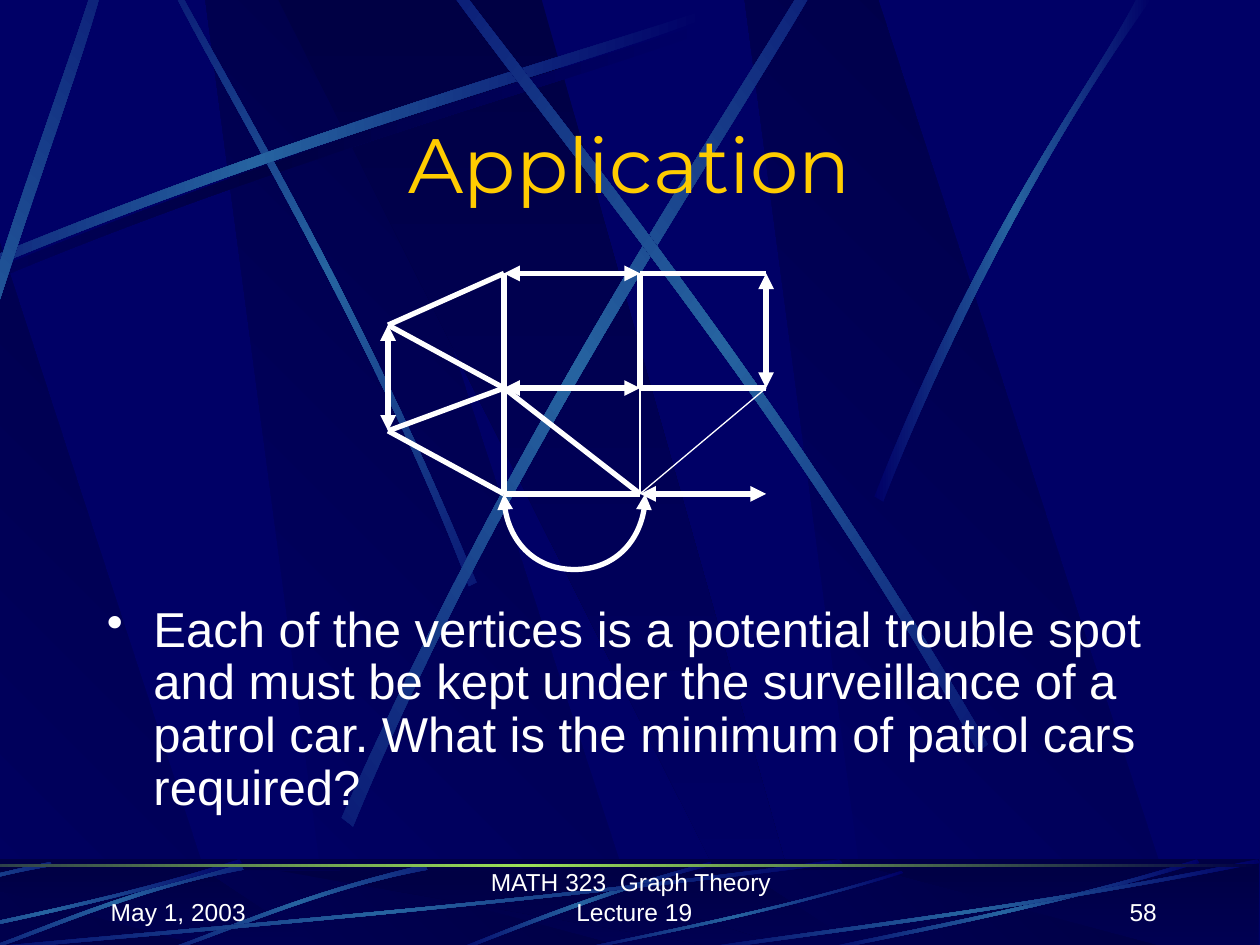
from math import cos, radians, sin

from lxml.etree import SubElement
from pptx import Presentation
from pptx.dml.color import RGBColor
from pptx.enum.shapes import MSO_CONNECTOR as CONNECTOR, MSO_SHAPE as SHAPE
from pptx.enum.text import MSO_ANCHOR as ANCHOR, PP_ALIGN as ALIGN
from pptx.oxml.ns import qn
from pptx.util import Emu, Pt

PX = 9144
COLORS = {
    "navy": "000066",
    "midnight": "000044",
    "beam": "2663A0",
    "lime": "9CE157",
    "gold": "FFCC00",
    "white": "FFFFFF",
}
VERTICES = {
    "A": (400, 217), "B": (508, 217), "C": (608, 217),
    "D": (308, 258), "E": (400, 308), "F": (508, 308), "G": (608, 308),
    "H": (308, 342), "I": (400, 392), "J": (508, 392), "K": (608, 392),
}
PATROLS = ["AB", "CG", "FE", "DH", "JK"]
STREETS = ["BC", "GF", "FB", "EA", "AD", "DE", "EH", "EI", "IJ", "HI", "JE"]
LANES = ["FJ", "JG"]
LONG_BEAM = [(-152, 267), (156, 125), (436, 50), (556, 9),
             (559, 15), (442, 60), (121, 142), (-149, 277)]
UPPER_BEAMS = [
    (45, (254, 222), [(378, 462), (286, 238), (177, 59), (135, -21),
                      (131, -20), (170, 61), (296, 264), (372, 465)]),
    (0, (0, 0), LONG_BEAM),
    (312, (-12, 316), [(-110, 639), (-56, 332), (41, 95), (74, -13),
                       (81, -11), (52, 99), (-61, 368), (-100, 645)]),
    (321, (466, 311), [(271, 649), (415, 325), (585, 79), (651, -34),
                       (658, -31), (596, 84), (400, 363), (280, 656)]),
    (35, (564, 285), [(784, 591), (613, 297), (427, 75), (352, -27),
                      (346, -23), (417, 81), (632, 332), (776, 597)]),
    (0, (0, 0), [(694, 394), (782, 173), (869, 65), (902, -1),
                 (914, -1), (808, 145), (730, 322), (701, 398)]),
]
SHORT_BEAM = [(191, 686), (98, 707), (27, 739), (-5, 750),
              (-4, 752), (29, 742), (109, 705), (193, 690)]
LOW_BEAM = [(192, 685), (57, 725), (-66, 746), (-119, 758),
            (-120, 756), (-68, 743), (72, 720), (190, 682)]
FOOTER_BEAMS = [
    (0, (0, 0), [(564, 684), (458, 712), (389, 744), (355, 756),
                 (360, 757), (403, 740), (499, 702), (565, 687)]),
    (315, (240, 720), [(x + 146, y) for x, y in SHORT_BEAM]),
    (315, (94, 720), SHORT_BEAM),
    (315, (-57, 716), [(39, 684), (-54, 702), (-123, 732), (-155, 743),
                       (-154, 745), (-122, 736), (-43, 700), (41, 687)]),
    (0, (0, 0), [(669, 685), (356, 725), (72, 746), (-49, 758),
                 (-52, 756), (67, 743), (392, 720), (666, 682)]),
    (0, (0, 0), LOW_BEAM),
    (0, (0, 0), [(717, 693), (600, 729), (494, 747), (449, 757),
                 (447, 756), (492, 745), (614, 724), (716, 691)]),
    (0, (0, 0), [(x + 760, y) for x, y in LOW_BEAM]),
    (0, (0, 0), [(1000, 685), (797, 725), (613, 746), (535, 758),
                 (533, 756), (610, 743), (820, 720), (998, 682)]),
]


def px(value):
    return Emu(round(value * PX))


def rgb(name):
    return RGBColor.from_string(COLORS[name])


def turned(points, centre, degrees):
    cx, cy = centre
    c, s = cos(radians(degrees)), sin(radians(degrees))
    return [(cx + (x - cx) * c - (y - cy) * s, cy + (x - cx) * s + (y - cy) * c)
            for x, y in points]


def bend(outline, segments):
    sides = iter(outline.element.spPr.findall(".//" + qn("a:lnTo")))
    for segment in segments:
        side = next(sides)
        if segment == "C":
            arc = side.makeelement(qn("a:cubicBezTo"), {})
            side.addprevious(arc)
            for part in (side, next(sides), next(sides)):
                arc.append(part[0])
                part.getparent().remove(part)


def add_outline(shapes, points, segments="", close=True):
    corners = [(px(x), px(y)) for x, y in points]
    builder = shapes.build_freeform(*corners[0], scale=1.0)
    builder.add_line_segments(corners[1:], close=close)
    outline = builder.convert_to_shape()
    outline.shadow.inherit = False
    bend(outline, segments)
    return outline


def add_band(shapes, top, height):
    band = shapes.add_shape(SHAPE.RECTANGLE, px(-169), px(top), px(1168), px(height))
    band.shadow.inherit = False
    return band


def paint_gradient(shape, names, clockwise=0):
    shape.line.fill.background()
    shape.fill.gradient()
    shape.fill.gradient_angle = 360 - clockwise
    stops = shape.element.spPr.find(".//" + qn("a:gsLst"))
    stops.clear()
    for n, name in enumerate(names):
        stop = SubElement(stops, qn("a:gs"), pos=str(100000 * n // (len(names) - 1)))
        SubElement(stop, qn("a:srgbClr"), val=COLORS[name])


def add_panels(shapes, top, bottom):
    for x in (163, -169, 591):
        panel = add_outline(shapes, [(x + 100, bottom), (x + 352, bottom), (x + 106, top), (x, top)])
        paint_gradient(panel, ["navy", "midnight"], 315)
    centre = add_outline(shapes, [(221, top), (600, bottom), (643, bottom), (430, top)])
    paint_gradient(centre, ["midnight", "navy"], 90)


def add_beam(shapes, rotation, centre, points, glow="beam"):
    flat = turned(points, centre, -rotation)
    beam = add_outline(shapes, flat + flat[:1], "CLC")
    beam.rotation = rotation
    paint_gradient(beam, ["navy", glow, "navy"])


def add_footer_band(shapes):
    paint_gradient(add_band(shapes, 682, 75), ["midnight", "navy"], 90)
    add_panels(shapes, 691, 757)
    veil = add_band(shapes, 682, 75)
    veil.line.fill.background()
    veil.fill.solid()
    veil.fill.fore_color.rgb = rgb("midnight")
    tint = veil.element.spPr.find(".//" + qn("a:srgbClr"))
    SubElement(tint, qn("a:alpha"), val="50000")
    for beam in FOOTER_BEAMS:
        add_beam(shapes, *beam)
    paint_gradient(add_band(shapes, 686, 2), ["midnight", "lime", "midnight"])


def decorate_master(master, slide):
    master.background.fill.solid()
    master.background.fill.fore_color.rgb = rgb("navy")
    backdrop = slide.shapes.add_group_shape()
    add_panels(backdrop.shapes, 0, 755)
    add_beam(backdrop.shapes, 0, (0, 0), [(x + 7, y + 8) for x, y in LONG_BEAM], "midnight")
    for beam in UPPER_BEAMS:
        add_beam(backdrop.shapes, *beam)
    add_footer_band(backdrop.shapes)
    for n, props in enumerate(backdrop.element.iter(qn("p:cNvPr")), 100):
        props.set("id", str(n))
    master.shapes.element.insert(2, backdrop.element)


def style_stroke(shape, width, arrows):
    shape.line.color.rgb = rgb("white")
    shape.line.width = Pt(width)
    if arrows:
        stroke = shape.element.spPr.find(qn("a:ln"))
        for end in ("a:headEnd", "a:tailEnd"):
            SubElement(stroke, qn(end), type="triangle")


def add_edges(slide, edges, width=3, arrows=False):
    for start, end in edges:
        edge = slide.shapes.add_connector(
            CONNECTOR.STRAIGHT, *map(px, VERTICES[start] + VERTICES[end]))
        style_stroke(edge, width, arrows)
        SubElement(edge.element.spPr, qn("a:effectLst"))


def add_loop(slide):
    points = [(400, 392), (400, 394), (400, 426), (425, 452), (456, 452),
              (487, 452), (512, 426), (512, 394), (512, 392)]
    loop = add_outline(slide.shapes, points, "LCCL", close=False)
    loop.fill.background()
    style_stroke(loop, 3, True)


def write(shape, text, size, color="white", family="Arial", align=ALIGN.LEFT, anchor=ANCHOR.TOP):
    frame = shape.text_frame
    frame.word_wrap = True
    frame.vertical_anchor = anchor
    paragraph = frame.paragraphs[0]
    paragraph.text = text
    paragraph.alignment = align
    paragraph.font.size = Pt(size)
    paragraph.font.name = family
    paragraph.font.color.rgb = rgb(color)
    return paragraph


def add_text(slide, box, text, size, **style):
    return write(slide.shapes.add_textbox(*map(px, box)), text, size, **style)


def add_title(slide):
    title = slide.shapes.title
    title.left, title.top, title.width, title.height = map(px, (75, 88, 850, 83))
    write(title, "Application", 44, "gold", "Montserrat", ALIGN.CENTER, ANCHOR.MIDDLE)


def add_question(slide):
    question = add_text(
        slide, (75, 475, 850, 150),
        "Each of the vertices is a potential trouble spot and must be kept under the "
        "surveillance of a patrol car. What is the minimum of patrol cars required?", 28)
    question.line_spacing = 0.9
    props = question._p.get_or_add_pPr()
    props.set("marL", str(px(37)))
    props.set("indent", str(px(-37)))
    size = props.makeelement(qn("a:buSzPct"), {"val": "97000"})
    mark = props.makeelement(qn("a:buChar"), {"char": "•"})
    props.insert(1, size)
    props.insert(2, mark)


def main():
    deck = Presentation()
    deck.slide_width, deck.slide_height = px(1000), px(750)
    slide = deck.slides.add_slide(deck.slide_layouts[5])
    decorate_master(deck.slide_master, slide)

    for box, text, align in [
        ((78, 690, 208, 50), "May 1, 2003", ALIGN.LEFT),
        ((345, 690, 317, 50), "MATH 323  Graph Theory  Lecture 19", ALIGN.CENTER),
        ((720, 690, 208, 50), "58", ALIGN.RIGHT),
    ]:
        add_text(slide, box, text, 14, align=align, anchor=ANCHOR.BOTTOM)
    add_title(slide)
    add_question(slide)

    add_edges(slide, STREETS)
    add_edges(slide, LANES, width=0.75)
    add_edges(slide, PATROLS, arrows=True)
    add_loop(slide)
    deck.save("out.pptx")


if __name__ == "__main__":
    main()
